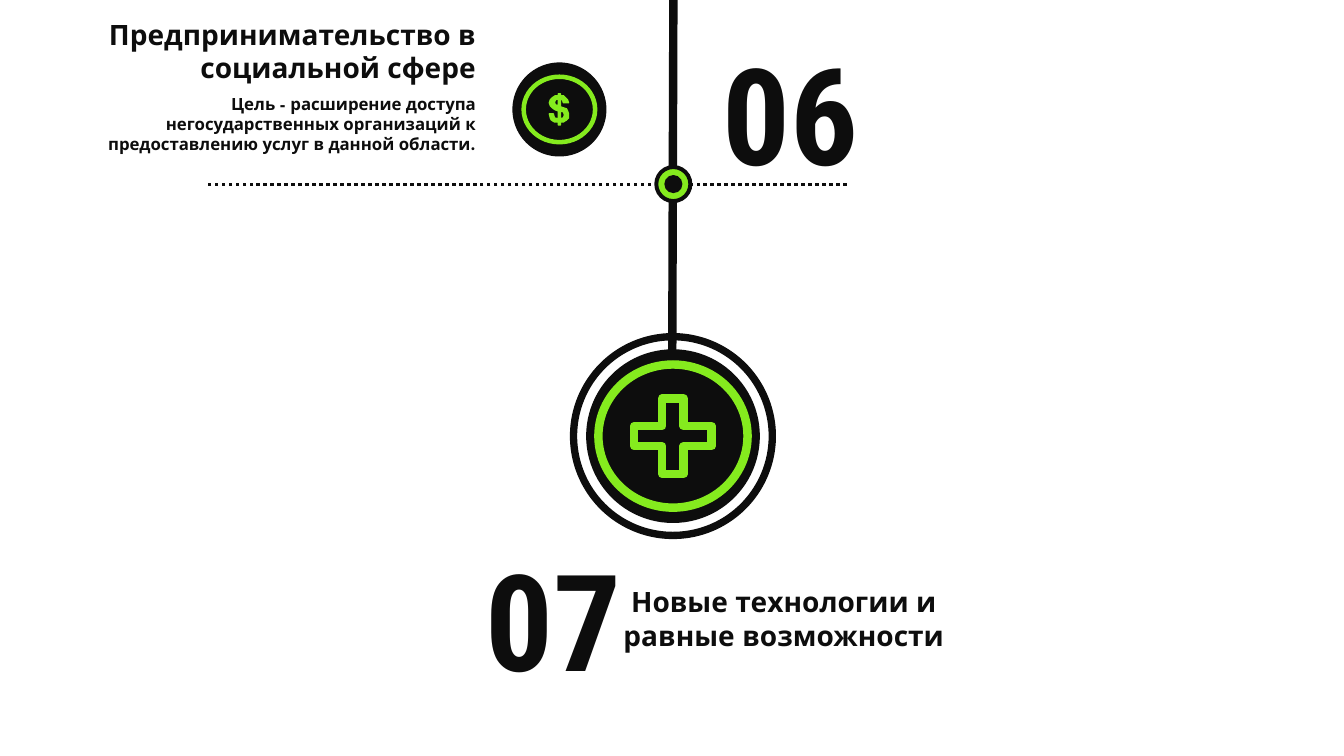
import pptx
import pptx.dml.color
import pptx.enum.dml
import pptx.enum.shapes
import pptx.enum.text
import pptx.oxml.ns
import pptx.util
from lxml import etree

Pt = pptx.util.Pt
SHAPE = pptx.enum.shapes.MSO_SHAPE
ALIGN = pptx.enum.text.PP_ALIGN
INK = pptx.dml.color.RGBColor(0x0D, 0x0D, 0x0D)
LIME = pptx.dml.color.RGBColor(0x85, 0xEB, 0x1E)

HEADING = ("Предпринимательство в социальной сфере",
           (52.6, 8.6, 294.5, 55.4), 20, "League Spartan", ALIGN.RIGHT)
TEXTS = [
    ("Цель - расширение доступа негосударственных организаций к предоставлению услуг в данной области.",
     (67, 63.4, 280.1, 51.1), 12, "League Spartan", ALIGN.RIGHT),
    ("06", (500.4, 18.7, 128.2, 123.8), 96, "Roboto Condensed", ALIGN.CENTER),
    ("07", (331.2, 380.2, 128.2, 123.8), 96, "Roboto Condensed", ALIGN.CENTER),
    ("Новые технологии и равные возможности",
     (432.7, 414, 254.2, 55.4), 20, "League Spartan", ALIGN.CENTER),
]

LINES = [
    ((481, 0), (480.2, 253.4), 6, None),
    ((604.8, 131.8), (146.2, 131.8), 2.5, pptx.enum.dml.MSO_LINE.ROUND_DOT),
]

HUB = (480.7, 311.5)
NODE = (481, 131.5)
BADGE = (399.6, 78.2)
ROUNDS = [
    (HUB, (146.2, 146.2), 0.029, INK),
    (HUB, (123.1, 123.1), None, INK),
    (HUB, (111.6, 107.3), 0.047, LIME),
    (NODE, (22.3, 22.3), None, LIME),
    (NODE, (26.2, 26.2), 0.071, INK),
    (NODE, (11.9, 11.9), None, INK),
    (BADGE, (66.2, 66.2), None, INK),
    (BADGE, (53.3, 49), 0.046, LIME),
]

PLUS_REACH = (27.7, 27)
PLUS_HALF_BAR = (7.6, 7.2)

DOLLAR_UNIT = 0.72
DOLLAR = [
    [(562, 108), (559, 107), (556, 106), (556, 98), (558, 99), (559, 102),
     (564, 102), (563, 99), (561, 97), (559, 95), (556, 95), (556, 93),
     (554, 93), (554, 95), (551, 95), (548, 97), (546, 99), (545, 102),
     (546, 105), (548, 107), (551, 109), (554, 110), (554, 118), (550, 117),
     (549, 113), (545, 113), (546, 117), (547, 119), (550, 121), (554, 121),
     (554, 124), (556, 124), (556, 121), (559, 121), (562, 119), (564, 117),
     (564, 113), (563, 110)],
    [(559, 117), (556, 118), (556, 110), (559, 111), (560, 114)],
    [(554, 105), (551, 104), (550, 102), (551, 99), (554, 98)],
]


def write(box, content):
    text, frame, size, face, align = content
    box.left, box.top, box.width, box.height = map(Pt, frame)
    body = box.text_frame
    body.word_wrap = True
    body.auto_size = pptx.enum.text.MSO_AUTO_SIZE.SHAPE_TO_FIT_TEXT
    body.vertical_anchor = pptx.enum.text.MSO_ANCHOR.TOP
    body.text = text
    paragraph = body.paragraphs[0]
    paragraph.alignment = align
    paragraph.line_spacing = 1.0
    paragraph.font.size = Pt(size)
    paragraph.font.name = face
    paragraph.font.bold = True
    paragraph.font.color.rgb = INK


def paint(shape, color, width=1, filled=True):
    shape.shadow.inherit = False
    if filled:
        shape.fill.solid()
        shape.fill.fore_color.rgb = color
    else:
        shape.fill.background()
    shape.line.color.rgb = color
    shape.line.width = Pt(width)


def outline(shapes, contours):
    contours = [[(Pt(x), Pt(y)) for x, y in contour] for contour in contours]
    builder = shapes.build_freeform(*contours[0][0])
    builder.add_line_segments(contours[0][1:], close=True)
    for contour in contours[1:]:
        builder.move_to(*contour[0])
        builder.add_line_segments(contour[1:], close=True)
    return builder.convert_to_shape()


def plus_contour():
    (rx, ry), (bx, by) = PLUS_REACH, PLUS_HALF_BAR
    right = [(bx, -ry), (bx, -by), (rx, -by), (rx, by), (bx, by), (bx, ry)]
    left = [(-x, -y) for x, y in right]
    return [(HUB[0] + x, HUB[1] + y) for x, y in right + left]


def main():
    deck = pptx.Presentation()
    deck.slide_width, deck.slide_height = Pt(960), Pt(540)
    slide = deck.slides.add_slide(deck.slide_layouts[5])
    shapes = slide.shapes

    for start, end, width, dash in LINES:
        connector = shapes.add_connector(
            pptx.enum.shapes.MSO_CONNECTOR.STRAIGHT, *map(Pt, start + end))
        connector.line.color.rgb = INK
        connector.line.width = Pt(width)
        if dash is not None:
            connector.line.dash_style = dash
        etree.SubElement(connector._element.spPr, pptx.oxml.ns.qn("a:effectLst"))

    for (x, y), (width, height), ring, color in ROUNDS:
        disc = shapes.add_shape(
            SHAPE.OVAL if ring is None else SHAPE.DONUT,
            Pt(x - width / 2), Pt(y - height / 2), Pt(width), Pt(height))
        if ring is not None:
            disc.adjustments[0] = ring
        paint(disc, color)

    write(shapes.title, HEADING)
    for content in TEXTS:
        write(shapes.add_textbox(0, 0, 0, 0), content)

    dollar = [[(x * DOLLAR_UNIT, y * DOLLAR_UNIT) for x, y in contour] for contour in DOLLAR]
    paint(outline(shapes, dollar), LIME)

    plus = outline(shapes, [plus_contour()])
    paint(plus, LIME, 6, filled=False)
    etree.SubElement(plus.line._get_or_add_ln(), pptx.oxml.ns.qn("a:round"))

    deck.save("out.pptx")


if __name__ == "__main__":
    main()
